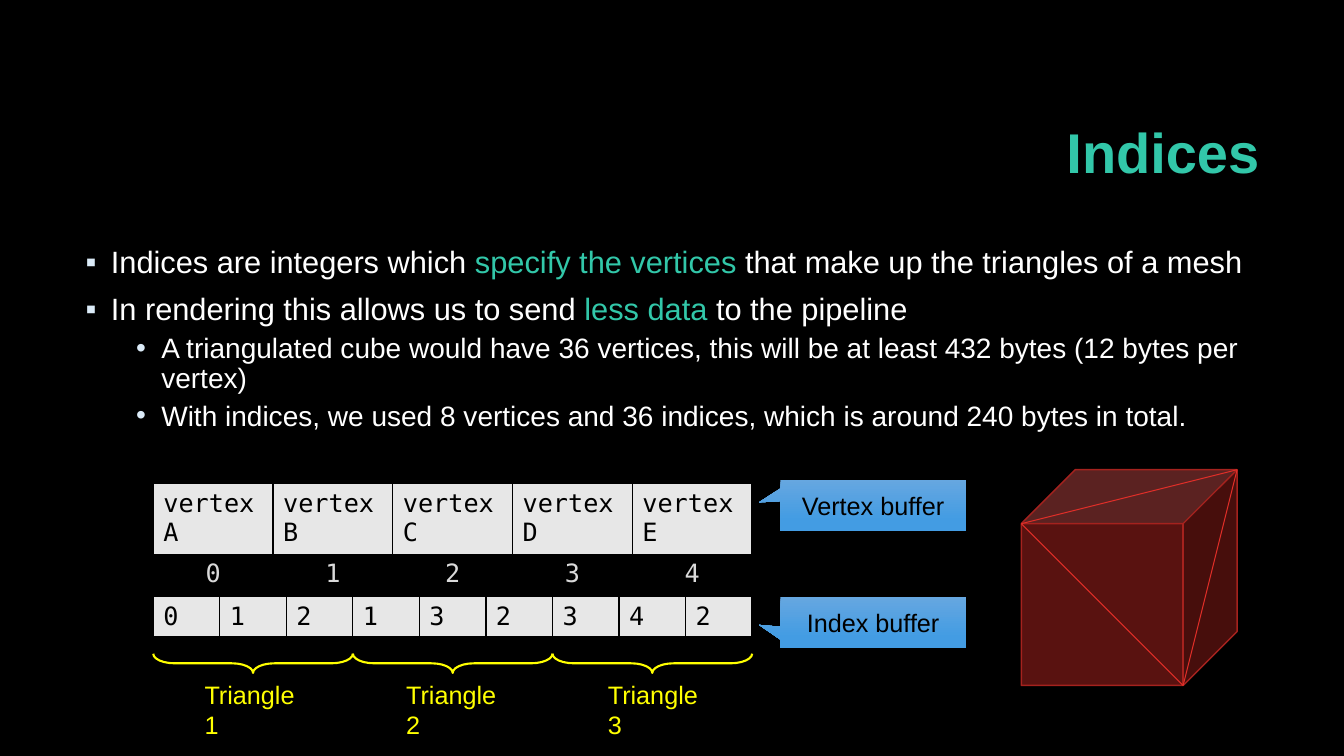
"""Build the slide that explains vertex and index buffers."""
import pptx
import pptx.dml.color
import pptx.enum.shapes
import pptx.enum.text
import pptx.oxml
import pptx.oxml.ns
import pptx.util

Inches = pptx.util.Inches
Pt = pptx.util.Pt
RGB = pptx.dml.color.RGBColor
SHAPE = pptx.enum.shapes.MSO_SHAPE
ALIGN = pptx.enum.text.PP_ALIGN
MIDDLE = pptx.enum.text.MSO_ANCHOR.MIDDLE

BLACK = RGB(0x00, 0x00, 0x00)
WHITE = RGB(0xFF, 0xFF, 0xFF)
TEAL = RGB(0x32, 0xC7, 0xA9)
BULLET = RGB(0xDB, 0xEB, 0xF8)
GREY = RGB(0xE7, 0xE7, 0xE7)
SLOT = RGB(0xDA, 0xDA, 0xDA)
YELLOW = RGB(0xFF, 0xFF, 0x00)
RED = RGB(0xDF, 0x2E, 0x28)
DARK_RED = RGB(0xA5, 0x22, 0x1E)
BLUES = [(0, RGB(0x66, 0xA7, 0xE0)), (0.78, RGB(0x43, 0x9C, 0xE3))]
SANS, MONO = "Arial", "DejaVu Sans Mono"

TITLE = "Indices"
BODY = [
    (0, [("Indices are integers which ", WHITE), ("specify the vertices ", TEAL),
         ("that make up the triangles of a mesh", WHITE)]),
    (0, [("In rendering this allows us to send ", WHITE), ("less data ", TEAL),
         ("to the pipeline", WHITE)]),
    (1, [("A triangulated cube would have 36 vertices, this will be at least "
          "432 bytes (12 bytes per vertex)", WHITE)]),
    (1, [("With indices, we used 8 vertices and 36 indices, which is around "
          "240 bytes in total.", WHITE)]),
]
LEVELS = [dict(char="▪", size=22, before=10, left=0.25),
          dict(char="•", size=20, before=5, left=0.75)]
VERTICES = [["vertex" + name for name in "ABCDE"], list("01234")]
INDICES = [list("012132342")]
TRIANGLES = ["Triangle 1", "Triangle 2", "Triangle 3"]
CALLOUTS = [("Vertex buffer", 4.76, -0.06), ("Index buffer", 5.92, 0.047)]

TABLE_LEFT, TABLE_WIDTH, ROW = 1.52, 5.94, 0.27
VERTEX_TOP, INDEX_TOP = 4.8, 5.92
BRACE_MID, BRACE_DEPTH, LABEL_TOP = 6.58, 0.19, 6.69
CUBE_LEFT, CUBE_TOP, CUBE_SIZE = 10.13, 4.66, 2.14


def box(*lengths):
    return [Inches(v) for v in lengths]


def assign(obj, **values):
    for name, value in values.items():
        setattr(obj, name, value)


def xml(parent, text, index=None):
    """Add a DrawingML element to a parent."""
    head, tail = text.split(" ", 1)
    el = pptx.oxml.parse_xml(f"{head} {pptx.oxml.ns.nsdecls('a')} {tail}")
    parent.insert(len(parent) if index is None else index, el)


def write(p, text, size, color, name=SANS, bold=False):
    r = p.add_run()
    r.text = text
    assign(r.font, size=Pt(size), name=name, bold=bold)
    r.font.color.rgb = color


def add_title(s):
    sp = s.shapes.title
    assign(sp, **dict(zip(("left", "top", "width", "height"), box(3.17, 0.84, 9.42, 1.41))))
    sp.text_frame.vertical_anchor = MIDDLE
    p = sp.text_frame.paragraphs[0]
    assign(p, alignment=ALIGN.RIGHT, line_spacing=0.9)
    write(p, TITLE, 40, TEAL, bold=True)


def add_body(s):
    sp = s.placeholders[1]
    assign(sp, **dict(zip(("left", "top", "width", "height"), box(0.75, 2.4, 11.83, 4.4))))
    tf = sp.text_frame
    for i, (level, runs) in enumerate(BODY):
        p = tf.add_paragraph() if i else tf.paragraphs[0]
        look = LEVELS[level]
        pPr = p._p.get_or_add_pPr()
        pPr.set("marL", str(Inches(look["left"])))
        pPr.set("indent", str(Inches(-0.25)))
        xml(pPr, f'<a:buClr ><a:srgbClr val="{BULLET}"/></a:buClr>')
        xml(pPr, f'<a:buChar char="{look["char"]}"/>')
        assign(p, level=level, line_spacing=0.9, space_before=Pt(look["before"] if i else 0))
        for text, color in runs:
            write(p, text, look["size"], color)


def add_grid(s, top, rows, looks):
    cols = len(rows[0])
    table = s.shapes.add_table(
        len(rows), cols, *box(TABLE_LEFT, top, TABLE_WIDTH, ROW * len(rows))).table
    assign(table, first_row=False, horz_banding=False)
    for col in table.columns:
        col.width = Inches(TABLE_WIDTH / cols)
    for y, (row, (fill, color, align)) in enumerate(zip(rows, looks)):
        for x, text in enumerate(row):
            cell = table.cell(y, x)
            cell.fill.solid()
            cell.fill.fore_color.rgb = fill
            for i, side in enumerate("LRTB"):
                xml(cell._tc.get_or_add_tcPr(),
                    f'<a:ln{side} w="12700"><a:solidFill><a:srgbClr val="{BLACK}"/>'
                    f'</a:solidFill></a:ln{side}>', i)
            p = cell.text_frame.paragraphs[0]
            p.alignment = align
            write(p, text, 18, color, MONO)


def add_triangles(s):
    span = TABLE_WIDTH / len(TRIANGLES)
    for i, label in enumerate(TRIANGLES):
        mid = TABLE_LEFT + span * (i + 0.5)
        sp = s.shapes.add_shape(SHAPE.LEFT_BRACE, *box(
            mid - BRACE_DEPTH / 2, BRACE_MID - span / 2, BRACE_DEPTH, span))
        sp.rotation = 270
        sp.adjustments[0] = 1.117
        sp.shadow.inherit = False
        sp.fill.background()
        sp.line.color.rgb = YELLOW
        sp.line.width = Pt(1.5)
        tf = s.shapes.add_textbox(*box(1.93 + 2 * i, LABEL_TOP, 1.25, 0.4)).text_frame
        tf.word_wrap = True
        write(tf.paragraphs[0], label, 18, YELLOW)


def add_cube(s):
    sp = s.shapes.add_shape(SHAPE.CUBE, *box(CUBE_LEFT, CUBE_TOP, CUBE_SIZE, CUBE_SIZE))
    sp.shadow.inherit = False
    sp.fill.solid()
    sp.fill.fore_color.rgb = RED
    xml(sp._element.spPr.find(".//" + pptx.oxml.ns.qn("a:srgbClr")), '<a:alpha val="40000"/>')
    sp.line.color.rgb = DARK_RED
    sp.line.width = Pt(1)
    depth = CUBE_SIZE / 4
    front = (CUBE_LEFT, CUBE_TOP + depth)
    base = (CUBE_LEFT + CUBE_SIZE - depth, CUBE_TOP + CUBE_SIZE)
    back = (CUBE_LEFT + CUBE_SIZE, CUBE_TOP)
    for start, end in ((front, base), (front, back), (base, back)):
        line = s.shapes.add_connector(
            pptx.enum.shapes.MSO_CONNECTOR.STRAIGHT, *box(*start, *end))
        line.line.color.rgb = RED
        line.line.width = Pt(0.75)
        xml(line._element.spPr, "<a:effectLst />")


def add_callouts(s):
    for label, top, tip in CALLOUTS:
        sp = s.shapes.add_shape(SHAPE.RECTANGULAR_CALLOUT, *box(7.74, top, 1.84, 0.51))
        sp.adjustments[0], sp.adjustments[1] = -0.616, tip
        sp.fill.gradient()
        sp.fill.gradient_angle = 270
        for stop, (position, color) in zip(sp.fill.gradient_stops, BLUES):
            stop.position = position
            stop.color.rgb = color
        sp.line.fill.background()
        sp.shadow.inherit = False
        xml(sp._element.spPr.find(pptx.oxml.ns.qn("a:effectLst")),
            f'<a:outerShdw blurRad="{Pt(4.5)}" dist="{Pt(1.5)}" dir="5400000">'
            f'<a:srgbClr val="{BLACK}"><a:alpha val="48000"/></a:srgbClr></a:outerShdw>')
        sp.text_frame.vertical_anchor = MIDDLE
        p = sp.text_frame.paragraphs[0]
        p.alignment = ALIGN.CENTER
        write(p, label, 18, BLACK)


def main():
    prs = pptx.Presentation()
    assign(prs, slide_width=Inches(13.33), slide_height=Inches(7.5))
    s = prs.slides.add_slide(prs.slide_layouts[1])
    s.background.fill.solid()
    s.background.fill.fore_color.rgb = BLACK
    add_title(s)
    add_body(s)
    buffer_look = (GREY, BLACK, ALIGN.LEFT)
    add_grid(s, INDEX_TOP, INDICES, [buffer_look])
    add_triangles(s)
    add_grid(s, VERTEX_TOP, VERTICES, [buffer_look, (BLACK, SLOT, ALIGN.CENTER)])
    add_cube(s)
    add_callouts(s)
    prs.save("out.pptx")


if __name__ == "__main__":
    main()
